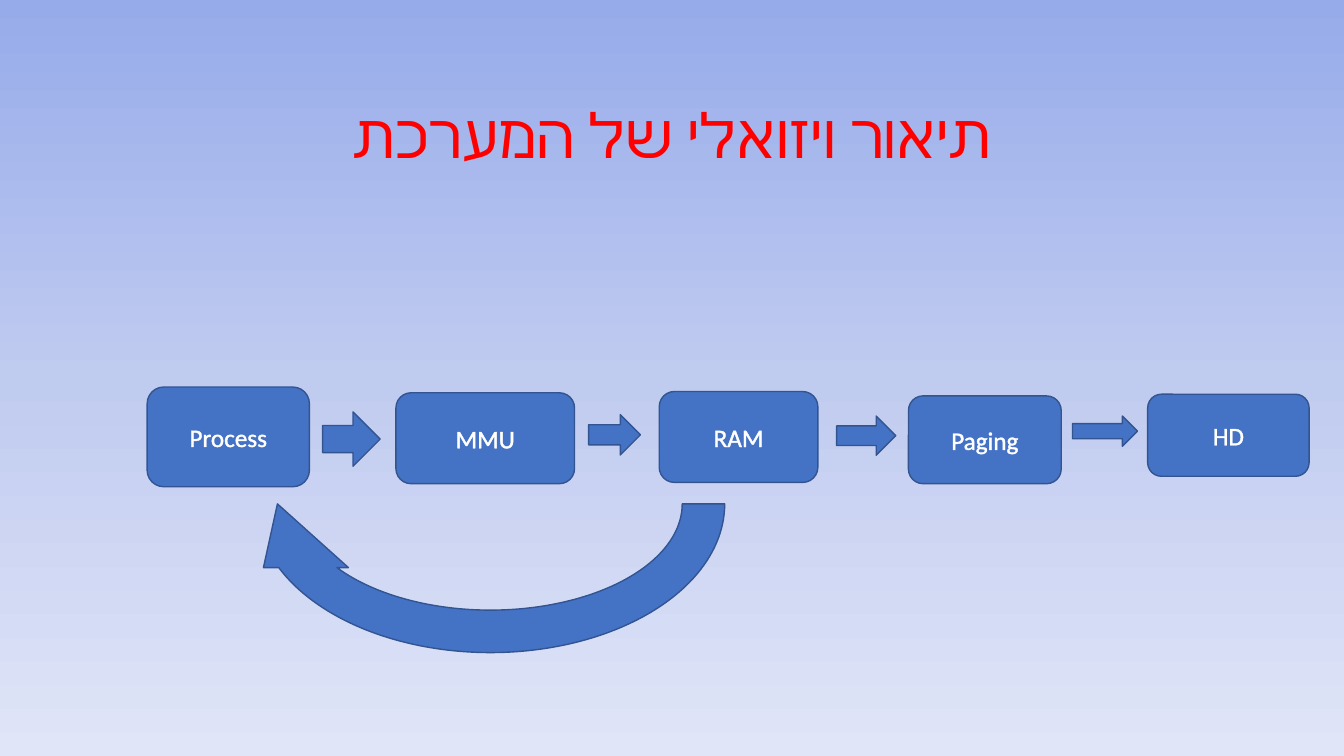
from copy import deepcopy

from lxml import etree
from pptx import Presentation
from pptx.dml.color import RGBColor
from pptx.enum.shapes import MSO_SHAPE
from pptx.enum.text import MSO_ANCHOR, PP_ALIGN
from pptx.oxml.ns import qn
from pptx.util import Pt

ROUNDED = MSO_SHAPE.ROUNDED_RECTANGLE
RIGHT_ARROW = MSO_SHAPE.RIGHT_ARROW
CIRCULAR_ARROW = MSO_SHAPE.CIRCULAR_ARROW
MIDDLE = MSO_ANCHOR.MIDDLE
CENTER = PP_ALIGN.CENTER

RED = RGBColor(0xFF, 0x00, 0x00)
WHITE = RGBColor(0xFF, 0xFF, 0xFF)
BLUE = RGBColor(0x44, 0x72, 0xC4)
DARK_BLUE = RGBColor(0x32, 0x54, 0x91)
BACKGROUND_STOPS = [
    (0, RGBColor(0x96, 0xAB, 0xEA)),
    (0.5, RGBColor(0xC0, 0xCB, 0xF0)),
    (1, RGBColor(0xE0, 0xE5, 0xF7)),
]

FONT = "Calibri"
TITLE_FORMAT = {"size": Pt(44), "name": FONT}
LABEL_FORMAT = {"size": Pt(18), "name": FONT}

# Left, top, width and height in points
TITLE_BOX = (66, 28.8, 828, 139.7)
STAGES = [
    ("Process", (105.1, 276.5, 115.9, 71.2)),
    ("MMU", (282.8, 280.6, 127.6, 64.9)),
    ("RAM", (470.9, 279.7, 113.3, 64.9)),
    ("Paging", (648.9, 282.8, 109.1, 62.7)),
    ("HD", (819.8, 281.6, 115.3, 58.6)),
]
STEP_ARROWS = [
    (230.4, 294.2, 41.2, 38.8),
    (420.5, 296.2, 37, 28.8),
    (597.6, 297.2, 42.3, 28),
    (766.1, 297.2, 46.4, 21.6),
]
RETURN_ARROW = (167.8, 238.5, 365, 242.8)


def paint_background(slide):
    fill = slide.background.fill
    fill.gradient()
    fill.gradient_angle = 270
    stop_list = slide.element.find(".//" + qn("a:gsLst"))
    stop_list.insert(1, deepcopy(stop_list[0]))
    for stop, (position, color) in zip(fill.gradient_stops, BACKGROUND_STOPS):
        stop.position = position
        stop.color.rgb = color


def write_text(shape, text, font_format, color):
    """Write one centred right-to-left paragraph and return its run."""
    frame = shape.text_frame
    frame.word_wrap = True
    frame.vertical_anchor = MIDDLE
    paragraph = frame.paragraphs[0]
    paragraph.alignment = CENTER
    paragraph._p.get_or_add_pPr().set("rtl", "1")
    run = paragraph.add_run()
    run.text = text
    for name, value in font_format.items():
        setattr(run.font, name, value)
    run.font.color.rgb = color
    complex_font = etree.SubElement(run.font._element, qn("a:cs"))
    complex_font.set("typeface", FONT)
    return run


def outline_letters(run, color):
    outline = etree.Element(qn("a:ln"), w=str(Pt(1.45)))
    fill = etree.SubElement(outline, qn("a:solidFill"))
    etree.SubElement(fill, qn("a:srgbClr"), val=str(color))
    run.font._element.insert(0, outline)


def add_title(slide, text):
    title = slide.shapes.add_textbox(*map(Pt, TITLE_BOX))
    run = write_text(title, text, TITLE_FORMAT, RED)
    title.text_frame.paragraphs[0].line_spacing = 0.9
    return run


def add_blue_shape(slide, kind, box):
    shape = slide.shapes.add_shape(kind, *map(Pt, box))
    shape.shadow.inherit = False
    shape.fill.solid()
    shape.fill.fore_color.rgb = BLUE
    shape.line.color.rgb = DARK_BLUE
    shape.line.width = Pt(1)
    return shape


def add_stage(slide, label, box):
    stage = add_blue_shape(slide, ROUNDED, box)
    outline_letters(write_text(stage, label, LABEL_FORMAT, WHITE), WHITE)


def main():
    presentation = Presentation()
    presentation.slide_width = Pt(960)
    presentation.slide_height = Pt(540)
    slide = presentation.slides.add_slide(presentation.slide_layouts[6])

    paint_background(slide)
    add_title(slide, "תיאור ויזואלי של המערכת")
    for label, box in STAGES:
        add_stage(slide, label, box)
    for box in STEP_ARROWS:
        add_blue_shape(slide, RIGHT_ARROW, box)
    add_blue_shape(slide, CIRCULAR_ARROW, RETURN_ARROW).rotation = 180

    presentation.save("out.pptx")


if __name__ == "__main__":
    main()
